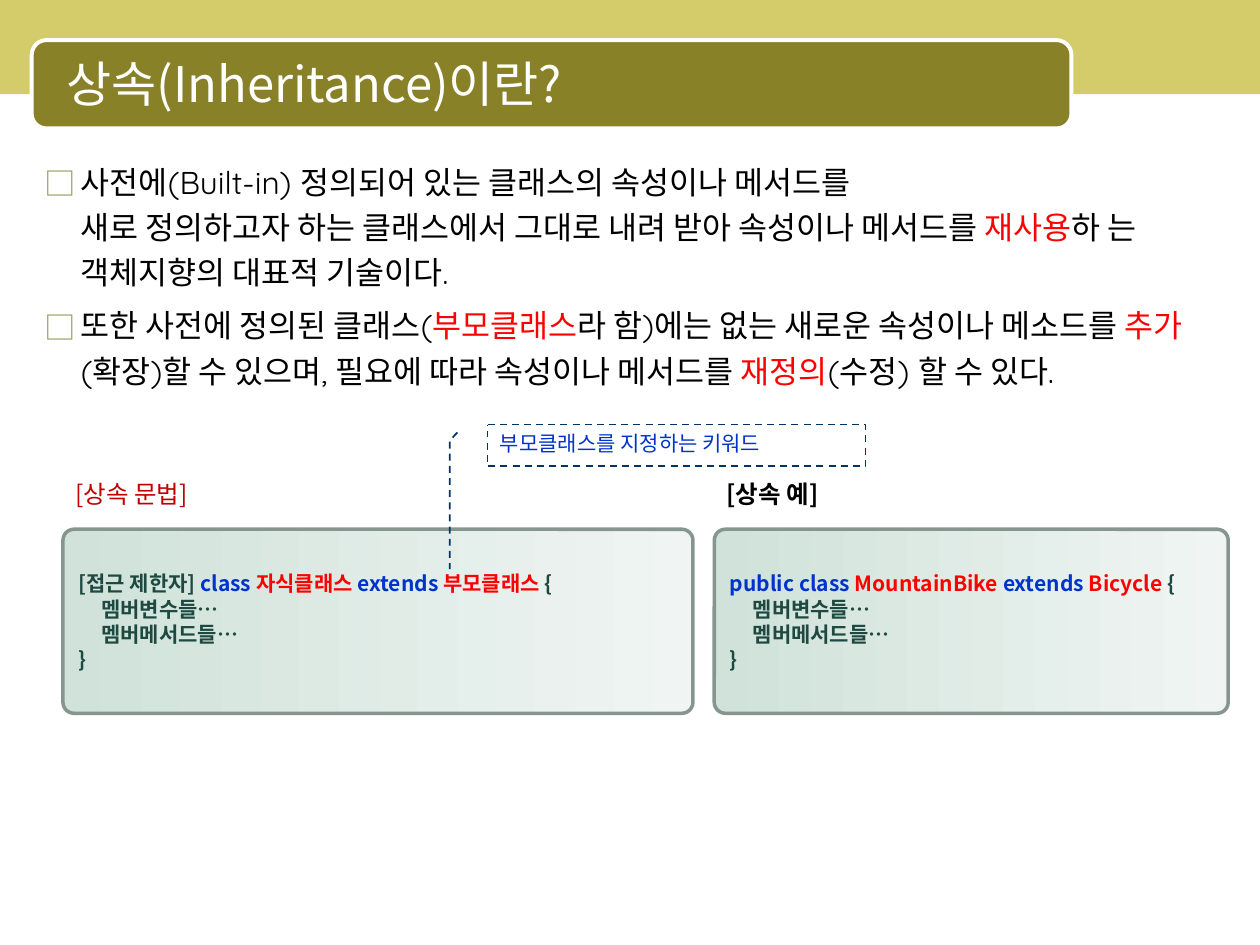
from dataclasses import dataclass

from lxml import etree
from pptx import Presentation
from pptx import util as u
from pptx.dml.color import RGBColor
from pptx.enum import dml, shapes, text
from pptx.oxml.ns import qn


@dataclass(frozen=True)
class Theme:
    sans: str = "Noto Sans CJK KR"
    body_latin: str = "Quicksand"
    white: str = "FFFFFF"
    black: str = "000000"
    band: str = "D4CC6A"
    header: str = "888128"
    bullet: str = "8CA35F"
    accent: str = "FF0000"
    keyword: str = "0033CC"
    code: str = "1D4940"
    label: str = "C00000"
    panel_start: str = "D0E2DA"
    panel_end: str = "F0F5F3"
    panel_line: str = "86958F"
    callout_line: str = "003366"
    title_size: int = 28
    body_size: int = 18
    label_size: int = 14
    code_size: int = 12


LINE_BREAK = ("\v", "")


def rgb(value):
    return RGBColor.from_string(value)


def set_indent(paragraph, left, first=0.0):
    properties = paragraph._p.get_or_add_pPr()
    properties.set("marL", str(u.Cm(left)))
    properties.set("indent", str(u.Cm(first)))


class SlideBuilder:
    def __init__(self, slide, theme):
        self.slide = slide
        self.theme = theme

    def style_run(self, run, size, color, bold=False, latin=None):
        run.font.name = latin or self.theme.sans
        run.font.size = u.Pt(size)
        run.font.bold = bold
        run.font.color.rgb = rgb(color)
        east_asian = etree.Element(qn("a:ea"), typeface=self.theme.sans)
        run.font._element.find(qn("a:latin")).addnext(east_asian)

    def fill_paragraph(self, paragraph, parts, size, bold=False, latin=None):
        """Fill a paragraph from (wording, colour) pairs."""
        paragraph.alignment = text.PP_ALIGN.LEFT
        for part in parts:
            if part == LINE_BREAK:
                paragraph.add_line_break()
                continue
            wording, color = part
            run = paragraph.add_run()
            run.text = wording
            self.style_run(run, size, color, bold, latin)

    def shape(self, kind, box, fill=None, line=None, width=1.0):
        item = self.slide.shapes.add_shape(kind, *map(u.Cm, box))
        item.shadow.inherit = False
        if fill:
            item.fill.solid()
            item.fill.fore_color.rgb = rgb(fill)
        else:
            item.fill.background()
        if line:
            item.line.color.rgb = rgb(line)
            item.line.width = u.Pt(width)
        else:
            item.line.fill.background()
        return item

    def text_box(self, box):
        frame = self.slide.shapes.add_textbox(*map(u.Cm, box)).text_frame
        frame.word_wrap = True
        return frame

    def title(self, wording, box):
        title = self.slide.shapes.title
        self.slide.shapes._spTree.append(title._element)  # in front of the header
        title.left, title.top, title.width, title.height = map(u.Cm, box)
        frame = title.text_frame
        frame.text = wording
        frame.auto_size = text.MSO_AUTO_SIZE.NONE
        frame.vertical_anchor = text.MSO_ANCHOR.MIDDLE
        heading = frame.paragraphs[0]
        heading.alignment = text.PP_ALIGN.LEFT
        set_indent(heading, 1.24, -0.99)
        self.style_run(heading.runs[0], self.theme.title_size, self.theme.white)

    def bullets(self, points, box):
        frame = self.text_box(box)
        for index, parts in enumerate(points):
            point = frame.add_paragraph() if index else frame.paragraphs[0]
            self.fill_paragraph(point, parts, self.theme.body_size,
                                latin=self.theme.body_latin)
            point.line_spacing = 1.2
            point.space_before = u.Pt(4.5)
            set_indent(point, 0.74, -0.74)
            properties = point._p.get_or_add_pPr()
            bullet_color = etree.SubElement(properties, qn("a:buClr"))
            etree.SubElement(bullet_color, qn("a:srgbClr"), val=self.theme.bullet)
            etree.SubElement(properties, qn("a:buFont"), typeface=self.theme.sans)
            etree.SubElement(properties, qn("a:buChar"), char="□")

    def label(self, wording, box, color, bold=False):
        paragraph = self.text_box(box).paragraphs[0]
        self.fill_paragraph(paragraph, [(wording, color)], self.theme.label_size, bold)

    def code_panel(self, declaration, box):
        """Draw a gradient panel with a class declaration and its members."""
        theme = self.theme
        panel = self.shape(shapes.MSO_SHAPE.ROUNDED_RECTANGLE, box,
                           line=theme.panel_line, width=2)
        panel.adjustments[0] = 0.06
        panel.fill.gradient()
        panel.fill.gradient_angle = 0
        for stop, color in zip(panel.fill.gradient_stops,
                               (theme.panel_start, theme.panel_end)):
            stop.color.rgb = rgb(color)
        frame = panel.text_frame
        frame.word_wrap = True
        frame.vertical_anchor = text.MSO_ANCHOR.MIDDLE
        members = [[(name, theme.code)] for name in ("멤버변수들…", "멤버메서드들…")]
        for index, parts in enumerate([declaration, *members, [("}", theme.code)]]):
            line = frame.add_paragraph() if index else frame.paragraphs[0]
            self.fill_paragraph(line, parts, theme.code_size, bold=True)
            if parts in members:
                set_indent(line, 0.46)

    def callout(self, wording, box, pointer):
        theme = self.theme
        note = self.shape(shapes.MSO_SHAPE.LINE_CALLOUT_2, box, line=theme.callout_line)
        note.line.dash_style = dml.MSO_LINE.DASH
        for index, value in enumerate(pointer):
            note.adjustments[index] = value
        frame = note.text_frame
        frame.word_wrap = True
        frame.vertical_anchor = text.MSO_ANCHOR.TOP
        self.fill_paragraph(frame.paragraphs[0], [(wording, theme.keyword)],
                            theme.code_size)


def main():
    theme = Theme()
    deck = Presentation()
    deck.slide_width, deck.slide_height = u.Cm(25.4), u.Cm(19.05)
    builder = SlideBuilder(deck.slides.add_slide(deck.slide_layouts[5]), theme)

    builder.shape(shapes.MSO_SHAPE.RECTANGLE, (-0.03, 0, 25.46, 1.9), theme.band)
    builder.shape(shapes.MSO_SHAPE.ROUNDED_RECTANGLE, (0.64, 0.81, 20.96, 1.78),
                  theme.header, theme.white, 2.25)
    builder.title("상속(Inheritance)이란?", (0.84, 0.89, 20.52, 1.57))

    plain, accent, keyword = theme.black, theme.accent, theme.keyword
    builder.bullets([
        [("사전에(Built-in) 정의되어 있는 클래스의 속성이나 메서드를", plain),
         LINE_BREAK,
         ("새로 정의하고자 하는 클래스에서 그대로 내려 받아 속성이나 메서드를 ", plain),
         ("재사용", accent),
         ("하 는 객체지향의 대표적 기술이다.", plain)],
        [("또한 사전에 정의된 클래스(", plain),
         ("부모클래스", accent),
         ("라 함)에는 없는 새로운 속성이나 메소드를 ", plain),
         ("추가", accent),
         ("(확장)할 수 있으며, 필요에 따라 속성이나 메서드를 ", plain),
         ("재정의", accent),
         ("(수정) 할 수 있다.", plain)],
    ], (0.64, 3, 24.13, 15.42))

    syntax = [("[접근 제한자] ", theme.code), ("class ", keyword), ("자식클래스 ", accent),
              ("extends ", keyword), ("부모클래스 ", accent), ("{", theme.code)]
    example = [("public class ", keyword), ("MountainBike ", accent),
               ("extends ", keyword), ("Bicycle", accent), (" {", theme.code)]
    for left, width, declaration, heading, color, bold in (
            (1.27, 12.7, syntax, "[상속 문법]", theme.label, False),
            (14.4, 10.36, example, "[상속 예]", theme.black, True)):
        builder.code_panel(declaration, (left, 10.67, width, 3.71))
        builder.label(heading, (left, 9.53, 5.08, 0.86), color, bold)

    builder.callout("부모클래스를 지정하는 키워드", (9.83, 8.56, 7.62, 0.84),
                    (0.19, -0.08, 0.38, -0.1, 3.47, -0.1))
    deck.save("out.pptx")


if __name__ == "__main__":
    main()
